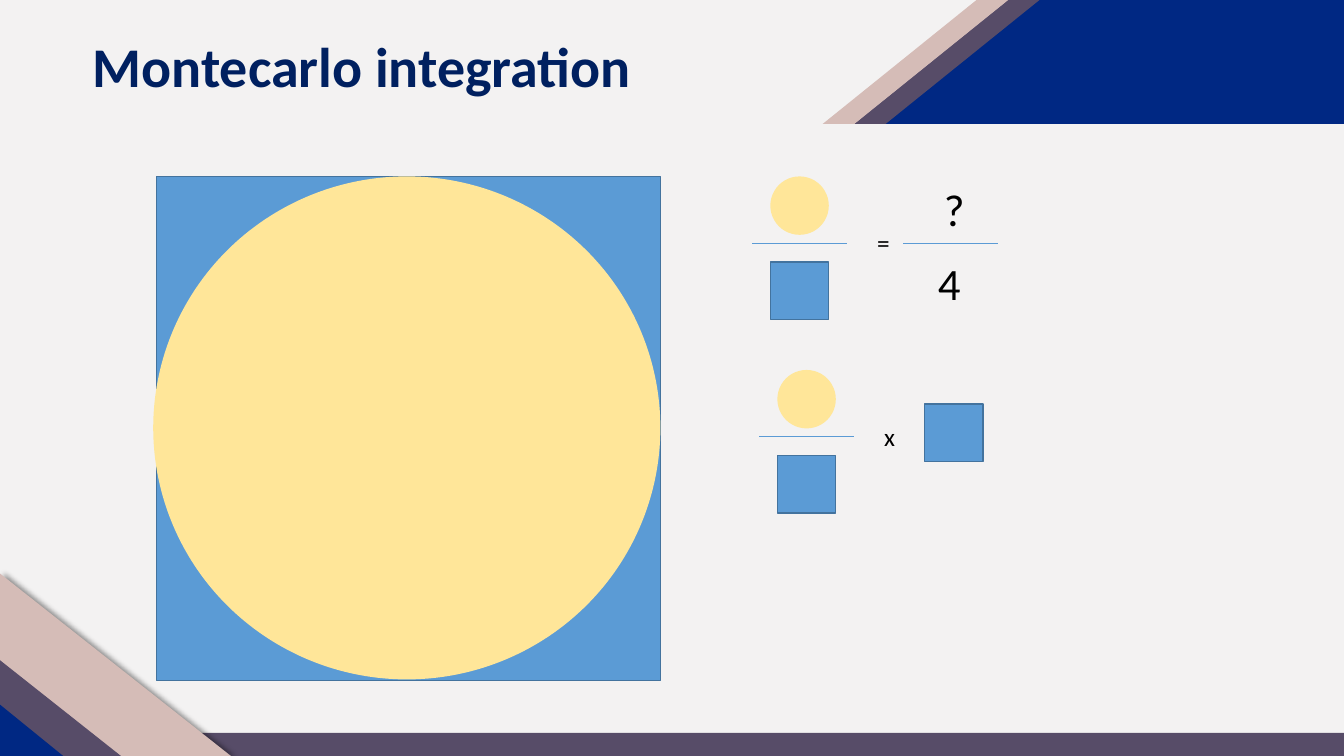
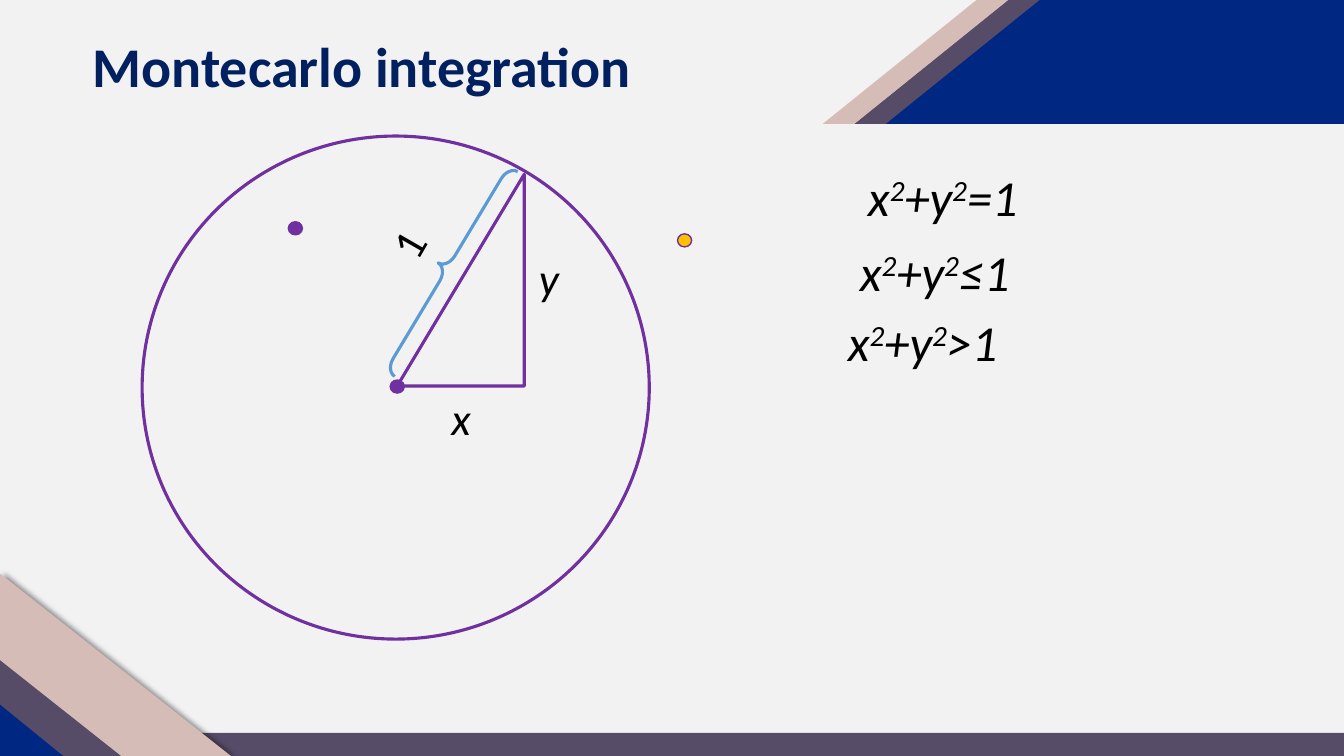
from dataclasses import dataclass

from lxml.etree import SubElement
from pptx import Presentation
from pptx.dml.color import RGBColor
from pptx.enum.shapes import MSO_CONNECTOR, MSO_SHAPE
from pptx.enum.text import MSO_ANCHOR, MSO_AUTO_SIZE, PP_ALIGN
from pptx.oxml.ns import qn
from pptx.util import Inches, Pt


@dataclass(frozen=True)
class Theme:
    font: str = "Calibri"
    background: str = "F3F2F2"
    navy: str = "002883"
    plum: str = "574C68"
    rose: str = "D5BCB7"
    title: str = "002060"
    text: str = "000000"
    blue: str = "5B9BD5"
    blue_edge: str = "43739E"
    cream: str = "FFE699"
    purple: str = "7030A0"
    gold: str = "FFC000"
    title_size: int = 40
    formula_size: int = 36
    label_size: int = 32
    operator_size: int = 18
    hairline: float = 0.5
    edge: float = 1
    outline: float = 2.25


THEME = Theme()
WIDTH, HEIGHT = 13.33, 7.5
BAND_HEIGHT = 1.23
TITLE = "Montecarlo integration"
TITLE_ONLY_LAYOUT = 5


def color(value):
    return RGBColor.from_string(value)


def paint(shape, fill=None, line=None, width=THEME.edge):
    shape.shadow.inherit = False
    if fill:
        shape.fill.solid()
        shape.fill.fore_color.rgb = color(fill)
    else:
        shape.fill.background()
    if line:
        shape.line.color.rgb = color(line)
        shape.line.width = Pt(width)
    else:
        shape.line.fill.background()
    return shape


def add_preset(page, kind, left, top, width, height, fill=None, line=None,
               line_width=THEME.edge, adjust=(), flip=None):
    """Add a preset shape; flip is "flipH" or "flipV"."""
    shape = page.shapes.add_shape(
        kind, Inches(left), Inches(top), Inches(width), Inches(height))
    for index, value in enumerate(adjust):
        shape.adjustments[index] = value
    if flip:
        shape.element.spPr.get_or_add_xfrm().set(flip, "1")
    return paint(shape, fill, line, line_width)


def add_rule(page, left, top, width):
    rule = page.shapes.add_connector(
        MSO_CONNECTOR.STRAIGHT, Inches(left), Inches(top),
        Inches(left + width), Inches(top))
    rule.line.color.rgb = color(THEME.blue)
    rule.line.width = Pt(THEME.hairline)
    SubElement(rule.element.spPr, qn("a:effectLst"))


def add_span(para, text, size, font_color=THEME.text, bold=False, italic=False):
    span = para.add_run()
    span.text = text
    span.font.name = THEME.font
    span.font.size = Pt(size)
    span.font.color.rgb = color(font_color)
    span.font.bold = bold
    span.font.italic = italic
    return span


def add_text_box(page, left, top, width, height):
    box = page.shapes.add_textbox(
        Inches(left), Inches(top), Inches(width), Inches(height))
    box.text_frame.word_wrap = True
    box.text_frame.auto_size = MSO_AUTO_SIZE.SHAPE_TO_FIT_TEXT
    return box


def add_label(page, text, left, top, italic=False, rotation=0):
    box = add_text_box(page, left, top, 0.63, 0.64)
    box.rotation = rotation
    para = box.text_frame.paragraphs[0]
    para.alignment = PP_ALIGN.CENTER
    add_span(para, text, THEME.label_size, italic=italic)


def add_circle_formula(page, relation, left, top):
    """Write x²+y² followed by the relation, with raised exponents."""
    para = add_text_box(page, left, top, 2.21, 0.71).text_frame.paragraphs[0]
    for text in ("x", "2", "+y", "2", relation):
        span = add_span(para, text, THEME.formula_size, italic=True)
        if text == "2":
            span.font._element.set("baseline", "30000")


def add_soft_shadow(shape):
    effects = shape.element.spPr.find(qn("a:effectLst"))
    shadow = SubElement(effects, qn("a:outerShdw"), blurRad=str(Pt(4)),
                        dist=str(Pt(3)), dir="0", algn="l", rotWithShape="0")
    black = SubElement(shadow, qn("a:srgbClr"), val="000000")
    SubElement(black, qn("a:alpha"), val="40000")


def add_bands(page):
    bands = [add_preset(page, MSO_SHAPE.RECTANGLE, 1.57, 7.27, 11.77, 0.24,
                        THEME.plum)]
    outline = page.shapes.build_freeform(
        Inches(8.73), Inches(BAND_HEIGHT), scale=1.0)
    outline.add_line_segments(
        [(Inches(x), Inches(y))
         for x, y in ((10.28, 0), (WIDTH, 0), (WIDTH, BAND_HEIGHT))])
    bands.append(paint(outline.convert_to_shape(), THEME.navy))
    for left, fill in ((8.47, THEME.plum), (8.16, THEME.rose)):
        bands.append(add_preset(page, MSO_SHAPE.PARALLELOGRAM, left, 0, 1.84,
                                BAND_HEIGHT, fill, adjust=(1.241,)))
    rose_stripe, plum_stripe = [
        add_preset(page, MSO_SHAPE.DIAGONAL_STRIPE, 0, HEIGHT - height, width,
                   height, fill, flip="flipV")
        for width, height, fill in ((2.29, 1.81, THEME.rose),
                                    (1.2, 0.95, THEME.plum))]
    add_soft_shadow(rose_stripe)
    corner = add_preset(page, MSO_SHAPE.RIGHT_TRIANGLE, 0, 6.99, 0.64, 0.52,
                        THEME.navy)
    return bands + [rose_stripe, plum_stripe, corner]


def style_layout(page):
    """Give the page's layout its background, title place and bands."""
    layout = page.slide_layout
    layout.background.fill.solid()
    layout.background.fill.fore_color.rgb = color(THEME.background)
    title = layout.placeholders[0]
    title.left, title.top = Inches(0.82), Inches(0.03)
    title.width, title.height = Inches(7.21), Inches(1.32)
    title.text_frame.vertical_anchor = MSO_ANCHOR.MIDDLE
    for index, band in enumerate(add_bands(page)):
        band.element.nvSpPr.cNvPr.set("id", str(100 + index))
        layout.shapes.element.insert(2 + index, band.element)


def add_page(deck):
    page = deck.slides.add_slide(deck.slide_layouts[TITLE_ONLY_LAYOUT])
    para = page.shapes.title.text_frame.paragraphs[0]
    para.alignment = PP_ALIGN.LEFT
    para.line_spacing = 0.9
    add_span(para, TITLE, THEME.title_size, THEME.title, bold=True)
    return page


def add_square(page, left, top, width=0.58, height=0.57):
    add_preset(page, MSO_SHAPE.RECTANGLE, left, top, width, height,
               THEME.blue, THEME.blue_edge)


def add_disc(page, left, top, width=0.58, height=0.58):
    add_preset(page, MSO_SHAPE.OVAL, left, top, width, height, THEME.cream)


def add_area_ratio(page, left, top, operator):
    """Draw disc over square, followed by an operator."""
    add_disc(page, left + 0.18, top)
    add_rule(page, left, top + 0.66, 0.94)
    add_square(page, left + 0.18, top + 0.85)
    box = add_text_box(page, left + 1.14, top + 0.46, 0.49, 0.4)
    add_span(box.text_frame.paragraphs[0], operator, THEME.operator_size)


def add_point(page, left, top, fill=THEME.purple):
    add_preset(page, MSO_SHAPE.OVAL, left, top, 0.14, 0.13, fill, THEME.purple)


def fill_area_page(page):
    add_square(page, 1.55, 1.75, 5, 5)
    add_disc(page, 1.52, 1.75, 5.03, 4.99)
    add_area_ratio(page, 7.46, 1.75, "=")
    add_rule(page, 8.96, 2.41, 0.94)
    add_label(page, "4", 9.1, 2.49)
    add_label(page, "?", 9.15, 1.75)
    add_area_ratio(page, 7.53, 3.67, "x")
    add_square(page, 9.17, 4.01)


def fill_circle_page(page):
    add_preset(page, MSO_SHAPE.OVAL, 1.41, 1.35, 5.03, 4.99,
               line=THEME.purple, line_width=THEME.outline)
    add_preset(page, MSO_SHAPE.RIGHT_TRIANGLE, 3.94, 1.73, 1.26, 2.1,
               line=THEME.purple, line_width=THEME.outline, flip="flipH")
    add_label(page, "x", 4.26, 3.83, italic=True)
    add_label(page, "y", 5.13, 2.44, italic=True)
    add_label(page, "1", 3.73, 2.1, rotation=300)
    brace = add_preset(page, MSO_SHAPE.LEFT_BRACE, 4.33, 1.48, 0.21, 2.37,
                       line=THEME.blue, line_width=THEME.outline,
                       adjust=(0.684, 0.499))
    brace.rotation = 31
    for relation, left, top in (("=1", 8.51, 1.6), ("≤1", 8.43, 2.34),
                                (">1", 8.31, 3.04)):
        add_circle_formula(page, relation, left, top)
    add_point(page, 3.87, 3.77)
    add_point(page, 2.86, 2.2)
    add_point(page, 6.72, 2.32, THEME.gold)


def main():
    deck = Presentation()
    deck.slide_width, deck.slide_height = Inches(WIDTH), Inches(HEIGHT)
    area_page = add_page(deck)
    style_layout(area_page)
    fill_area_page(area_page)
    fill_circle_page(add_page(deck))
    deck.save("out.pptx")


if __name__ == "__main__":
    main()
